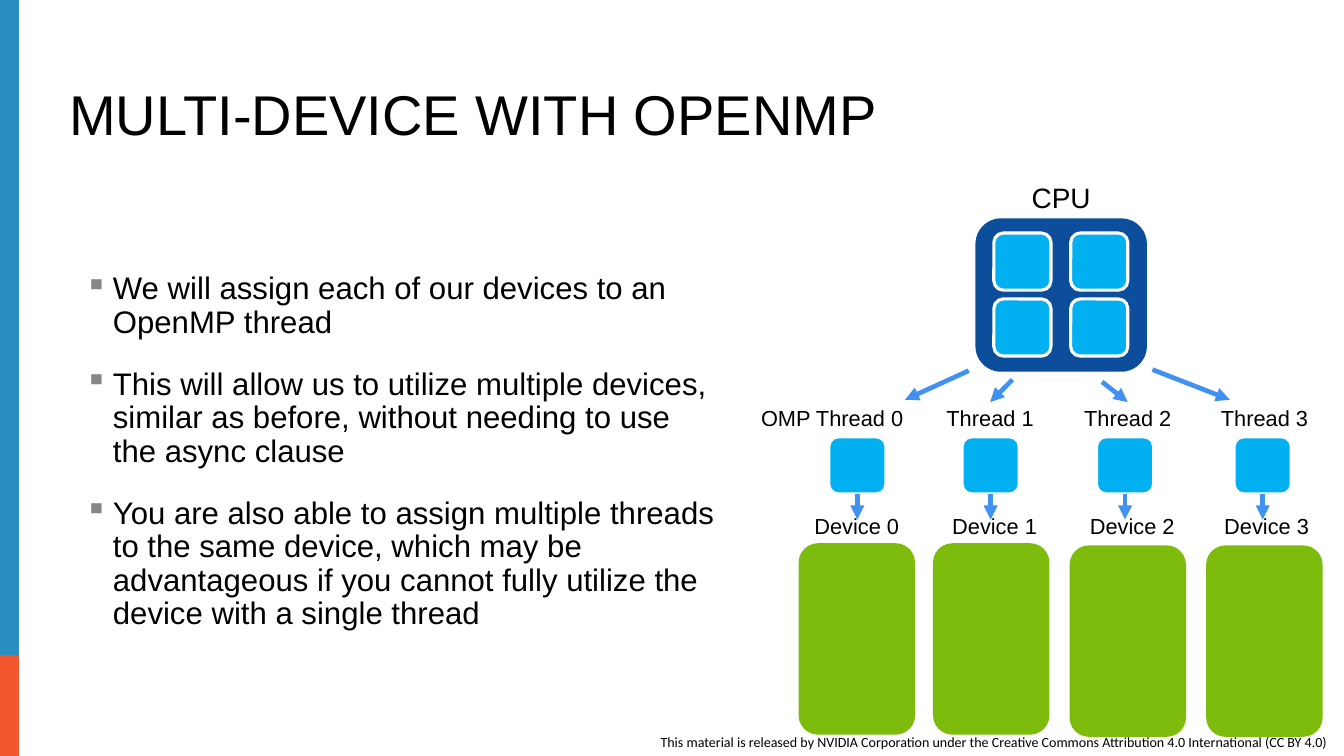
from dataclasses import dataclass
from itertools import product

from lxml.etree import SubElement
from pptx import Presentation
from pptx.dml.color import RGBColor
from pptx.enum.shapes import MSO_CONNECTOR, MSO_SHAPE
from pptx.enum.text import MSO_ANCHOR, MSO_AUTO_SIZE, PP_ALIGN
from pptx.oxml.ns import qn
from pptx.util import Pt


@dataclass(frozen=True)
class Theme:
    black: str = "000000"
    white: str = "FFFFFF"
    band_blue: str = "298EC2"
    band_orange: str = "F1562D"
    cpu: str = "0C4E9B"
    core: str = "00B0F0"
    device: str = "7DBC0D"
    arrow: str = "4091F0"
    bullet: str = "868686"
    font: str = "Arial"
    credit_font: str = "Calibri"
    title_size: float = 36
    body_size: float = 20
    cpu_size: float = 18
    label_size: float = 14
    credit_size: float = 9


THEME = Theme()
CORE_SIZE = 36.7
THREAD_TOP = 280.8
BULLETS = (
    "We will assign each of our devices to an OpenMP thread",
    "This will allow us to utilize multiple devices, similar as before, "
    "without needing to use the async clause",
    "You are also able to assign multiple threads to the same device, which may "
    "be advantageous if you cannot fully utilize the device with a single thread",
)
# Per thread: name, name centre, core left, arrow from the CPU,
# device name centre, device left and top
THREADS = (
    ("OMP Thread 0", 535, 532.8, (622.8, 238.3, 581.8, 257), 550.8, 513.4, 349.2),
    ("Thread 1", 636.5, 618.5, (650.9, 244.1, 636.5, 258.5), 639.4, 599.8, 349.2),
    ("Thread 2", 725, 704.9, (708.5, 245.5, 725, 258.5), 727.9, 687.6, 350.6),
    ("Thread 3", 812.9, 793.4, (740.9, 237.6, 790.6, 257), 814.3, 775.4, 350.6),
)


def points(*values):
    return [Pt(value) for value in values]


def apply(target, formats):
    for name, value in formats.items():
        setattr(target, name, value)


def write(paragraph, text, size, font=THEME.font, **formats):
    paragraph.text = text
    apply(paragraph, formats)
    apply(paragraph.font, {"name": font, "size": Pt(size)})
    paragraph.font.color.rgb = RGBColor.from_string(THEME.black)


def add_block(slide, kind, box, fill, line=None):
    block = slide.shapes.add_shape(kind, *points(*box))
    block.shadow.inherit = False
    block.fill.solid()
    block.fill.fore_color.rgb = RGBColor.from_string(fill)
    if line:
        block.line.color.rgb = RGBColor.from_string(line)
        block.line.width = Pt(2)
    else:
        block.line.fill.background()
    return block


def add_core(slide, left, top):
    box = (left, top, CORE_SIZE, CORE_SIZE)
    return add_block(slide, MSO_SHAPE.ROUNDED_RECTANGLE, box, THEME.core, THEME.white)


def add_label(slide, text, centre, top, size, width, height=22.3):
    label = slide.shapes.add_textbox(*points(centre - width / 2, top, width, height))
    apply(label.text_frame, {
        "word_wrap": False,
        "auto_size": MSO_AUTO_SIZE.SHAPE_TO_FIT_TEXT,
        "vertical_anchor": MSO_ANCHOR.MIDDLE,
    })
    write(label.text_frame.paragraphs[0], text, size,
          alignment=PP_ALIGN.CENTER, line_spacing=0.9)


def add_arrow(slide, ends):
    arrow = slide.shapes.add_connector(MSO_CONNECTOR.STRAIGHT, *points(*ends))
    arrow.line.color.rgb = RGBColor.from_string(THEME.arrow)
    arrow.line.width = Pt(3)
    properties = arrow._element.spPr
    SubElement(properties.find(qn("a:ln")), qn("a:tailEnd"), type="triangle")
    SubElement(properties, qn("a:effectLst"))
    return arrow


def add_bullets(slide):
    frame = slide.shapes.add_textbox(*points(47.5, 172, 420.5, 293)).text_frame
    frame.word_wrap = True
    for index, text in enumerate(BULLETS):
        paragraph = frame.add_paragraph() if index else frame.paragraphs[0]
        properties = paragraph._p.get_or_add_pPr()
        properties.set("marL", str(Pt(18)))
        properties.set("indent", str(-Pt(18)))
        colour = SubElement(properties, qn("a:buClr"))
        SubElement(colour, qn("a:srgbClr"), val=THEME.bullet)
        SubElement(properties, qn("a:buChar"), char="▪")
        write(paragraph, text, THEME.body_size, line_spacing=0.9,
              space_before=Pt(9 if index else 0), space_after=Pt(9))


def add_frame(slide):
    # Side band
    add_block(slide, MSO_SHAPE.RECTANGLE, (0, 365, 12.2, 121), THEME.band_orange)
    add_block(slide, MSO_SHAPE.RECTANGLE, (0, 0, 12.2, 421.2), THEME.band_blue)
    # Licence line
    credit = slide.shapes.add_textbox(*points(417.6, 468, 486.7, 18)).text_frame
    credit.word_wrap = True
    write(credit.paragraphs[0],
          "This material is released by NVIDIA Corporation under the Creative "
          "Commons Attribution 4.0 International (CC BY 4.0)",
          THEME.credit_size, THEME.credit_font)


def add_title(slide):
    title = slide.shapes.title
    box = points(37.4, 51.8, 785.5, 46.8)
    apply(title, dict(zip(("left", "top", "width", "height"), box)))
    apply(title.text_frame, {
        "vertical_anchor": MSO_ANCHOR.BOTTOM,
        "auto_size": MSO_AUTO_SIZE.NONE,
        "word_wrap": True,
    })
    write(title.text_frame.paragraphs[0], "MULTI-DEVICE WITH OPENMP",
          THEME.title_size, alignment=PP_ALIGN.LEFT, line_spacing=0.9)


def add_cpu(slide):
    add_block(slide, MSO_SHAPE.ROUNDED_RECTANGLE, (627.1, 140.4, 110.2, 98.6), THEME.cpu)
    for top, left in product((149.8, 192.2), (638.9, 688.3)):
        add_core(slide, left, top)
    add_label(slide, "CPU", 682.2, 115.2, THEME.cpu_size, 52.6, 26.6)


def add_threads(slide):
    for number, thread in enumerate(THREADS):
        name, name_centre, core_left, cpu_arrow, device_centre, left, top = thread
        core = add_core(slide, core_left, THREAD_TOP)
        add_block(slide, MSO_SHAPE.ROUNDED_RECTANGLE, (left, top, 74.9, 123.1), THEME.device)
        add_label(slide, name, name_centre, 258.5, THEME.label_size,
                  70.6 if number else 106.6)
        add_label(slide, f"Device {number}", device_centre, 327.6, THEME.label_size, 69.1)
        add_arrow(slide, cpu_arrow)
        middle = core_left + CORE_SIZE / 2
        device_arrow = add_arrow(slide, (middle, THREAD_TOP + CORE_SIZE, middle, 334))
        device_arrow.begin_connect(core, 2)


def main():
    deck = Presentation()
    deck.slide_width, deck.slide_height = points(864, 486)
    slide = deck.slides.add_slide(deck.slide_layouts[5])
    add_frame(slide)
    add_title(slide)
    add_cpu(slide)
    add_threads(slide)
    add_bullets(slide)
    deck.save("out.pptx")


if __name__ == "__main__":
    main()
